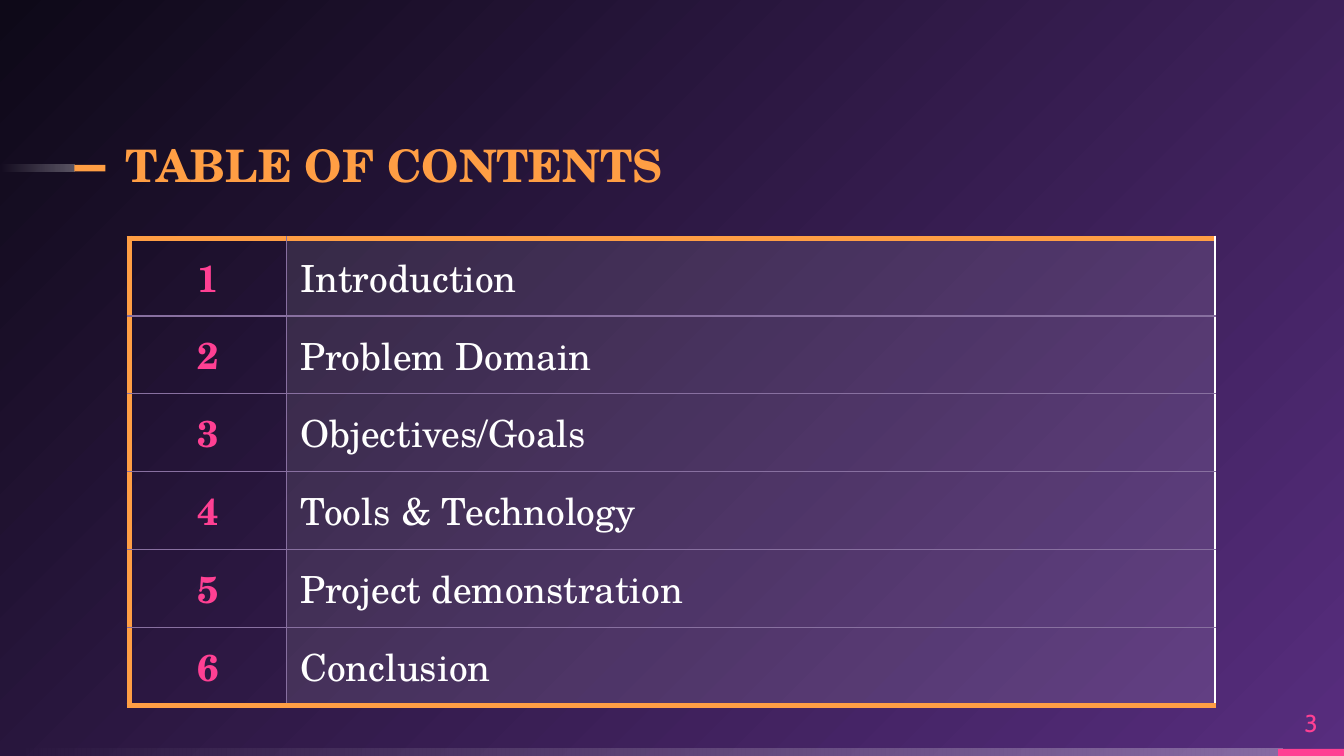
from pptx import Presentation
from pptx.dml.color import RGBColor
from pptx.enum.shapes import MSO_SHAPE
from pptx.enum.text import MSO_ANCHOR, PP_ALIGN
from pptx.oxml import parse_xml
from pptx.oxml.ns import nsdecls, qn
from pptx.util import Pt

ORANGE = RGBColor(0xFF, 0x9E, 0x44)
PINK = RGBColor(0xFF, 0x40, 0x93)
WHITE = RGBColor(0xFF, 0xFF, 0xFF)
LILAC = RGBColor(0x88, 0x70, 0xA0)
PURPLE = RGBColor(0x57, 0x2D, 0x7E)
NIGHT = RGBColor(0x0E, 0x09, 0x18)

SERIF, SANS = "TeX Gyre Schola", "Cabin"
TOPICS = ["Introduction", "Problem Domain", "Objectives/Goals",
          "Tools & Technology", "Project demonstration", "Conclusion"]


def set_alpha(color_element, percent):
    color_element.append(parse_xml(
        f'<a:alpha {nsdecls("a")} val="{percent * 1000}"/>'))


def add_run(paragraph, text, size, font, color, bold=False):
    run = paragraph.add_run()
    run.text = text
    run.font.size = Pt(size)
    run.font.name = font
    run.font.bold = bold
    run.font.color.rgb = color


def clear_margins(frame):
    frame.margin_left = frame.margin_right = Pt(0)
    frame.margin_top = frame.margin_bottom = Pt(0)


def paint_background(slide):
    fill = slide.background.fill
    fill.gradient()
    for stop, color in zip(fill.gradient_stops, (PURPLE, NIGHT)):
        stop.color.rgb = color
    # Radiate from the bottom right corner
    linear = slide._element.find(".//" + qn("a:lin"))
    linear.getparent().replace(linear, parse_xml(
        f'<a:path {nsdecls("a")} path="circle">'
        '<a:fillToRect l="100000" t="100000"/></a:path>'))


def add_bar(slide, left, top, width, height, color=None):
    """Solid bar, or a white one fading out to the left without a color."""
    bar = slide.shapes.add_shape(
        MSO_SHAPE.RECTANGLE, Pt(left), Pt(top), Pt(width), Pt(height))
    bar.shadow.inherit = False
    bar.line.fill.background()
    if color is not None:
        bar.fill.solid()
        bar.fill.fore_color.rgb = color
        return
    bar.fill.gradient()
    bar.fill.gradient_angle = 180
    for stop in bar.fill.gradient_stops:
        stop.color.rgb = WHITE
    for color_element, percent in zip(bar._element.spPr.iter(qn("a:srgbClr")), (30, 0)):
        set_alpha(color_element, percent)


def add_heading(slide, left, top, width, height):
    # Dash leading in from the slide edge
    dash_top = top + 16.4
    add_bar(slide, 0, dash_top, 40, 3.4)
    add_bar(slide, 39.8, dash_top, 16.7, 3.4, ORANGE)

    title = slide.shapes.title
    title.left, title.top = Pt(left), Pt(top)
    title.width, title.height = Pt(width), Pt(height)
    frame = title.text_frame
    clear_margins(frame)
    frame.vertical_anchor = MSO_ANCHOR.BOTTOM
    paragraph = frame.paragraphs[0]
    paragraph.alignment = PP_ALIGN.LEFT
    paragraph.line_spacing = 0.9
    add_run(paragraph, "TABLE OF CONTENTS", 24, SERIF, ORANGE, bold=True)


def set_borders(cell, left, right, top, bottom):
    properties = cell._tc.get_or_add_tcPr()
    sides = zip("LRTB", (left, right, top, bottom))
    for index, (side, (color, width)) in enumerate(sides):
        properties.insert(index, parse_xml(
            f'<a:ln{side} {nsdecls("a")} w="{Pt(width)}"><a:solidFill>'
            f'<a:srgbClr val="{color}"/></a:solidFill></a:ln{side}>'))


def add_contents(slide, left, top, width, height):
    number_width = 84.5
    table = slide.shapes.add_table(
        len(TOPICS), 2, Pt(left), Pt(top), Pt(width), Pt(height)).table
    table.first_row = table.horz_banding = False
    table.columns[0].width = Pt(number_width)
    table.columns[1].width = Pt(width - number_width)
    frame_line, grid_line, edge_line = (ORANGE, 3), (LILAC, 0.75), (WHITE, 1)

    for index, topic in enumerate(TOPICS):
        table.rows[index].height = Pt(height / len(TOPICS))
        number_cell, topic_cell = table.cell(index, 0), table.cell(index, 1)
        over = frame_line if index == 0 else grid_line
        under = frame_line if index == len(TOPICS) - 1 else grid_line

        for cell in (number_cell, topic_cell):
            cell.vertical_anchor = MSO_ANCHOR.MIDDLE
            cell.margin_left = cell.margin_right = Pt(7.2)
            cell.margin_top = cell.margin_bottom = Pt(5)

        number_cell.fill.background()
        set_borders(number_cell, frame_line, grid_line, over, under)
        number = number_cell.text_frame.paragraphs[0]
        number.alignment = PP_ALIGN.CENTER
        add_run(number, str(index + 1), 20, SERIF, PINK, bold=True)

        topic_cell.fill.solid()
        topic_cell.fill.fore_color.rgb = WHITE
        set_alpha(topic_cell._tc.tcPr.find(".//" + qn("a:srgbClr")), 10)
        set_borders(topic_cell, grid_line, edge_line, over, under)
        add_run(topic_cell.text_frame.paragraphs[0], topic, 20, SERIF, WHITE)


def add_footer(slide, left, top, width, height):
    # Rule along the bottom, with a pink end under the page number
    number_width, rule_height = 35.3, 3.8
    number_left = left + width - number_width
    rule_top = top + height - rule_height
    add_bar(slide, left, rule_top, 687, rule_height)
    add_bar(slide, number_left, rule_top, number_width, rule_height, PINK)

    page_number = slide.shapes.add_textbox(
        Pt(number_left), Pt(top), Pt(number_width), Pt(height - rule_height))
    frame = page_number.text_frame
    frame.word_wrap = True
    clear_margins(frame)
    frame.vertical_anchor = MSO_ANCHOR.MIDDLE
    frame.paragraphs[0].alignment = PP_ALIGN.CENTER
    add_run(frame.paragraphs[0], "3", 13, SANS, PINK)


def main():
    deck = Presentation()
    deck.slide_width, deck.slide_height = Pt(720), Pt(405)
    slide = deck.slides.add_slide(deck.slide_layouts[5])
    paint_background(slide)
    add_heading(slide, 67.4, 72, 417.6, 31)
    add_contents(slide, 69.2, 127.6, 581.6, 250.2)
    add_footer(slide, 0, 373.7, 720, 31.3)
    deck.save("out.pptx")


if __name__ == "__main__":
    main()
